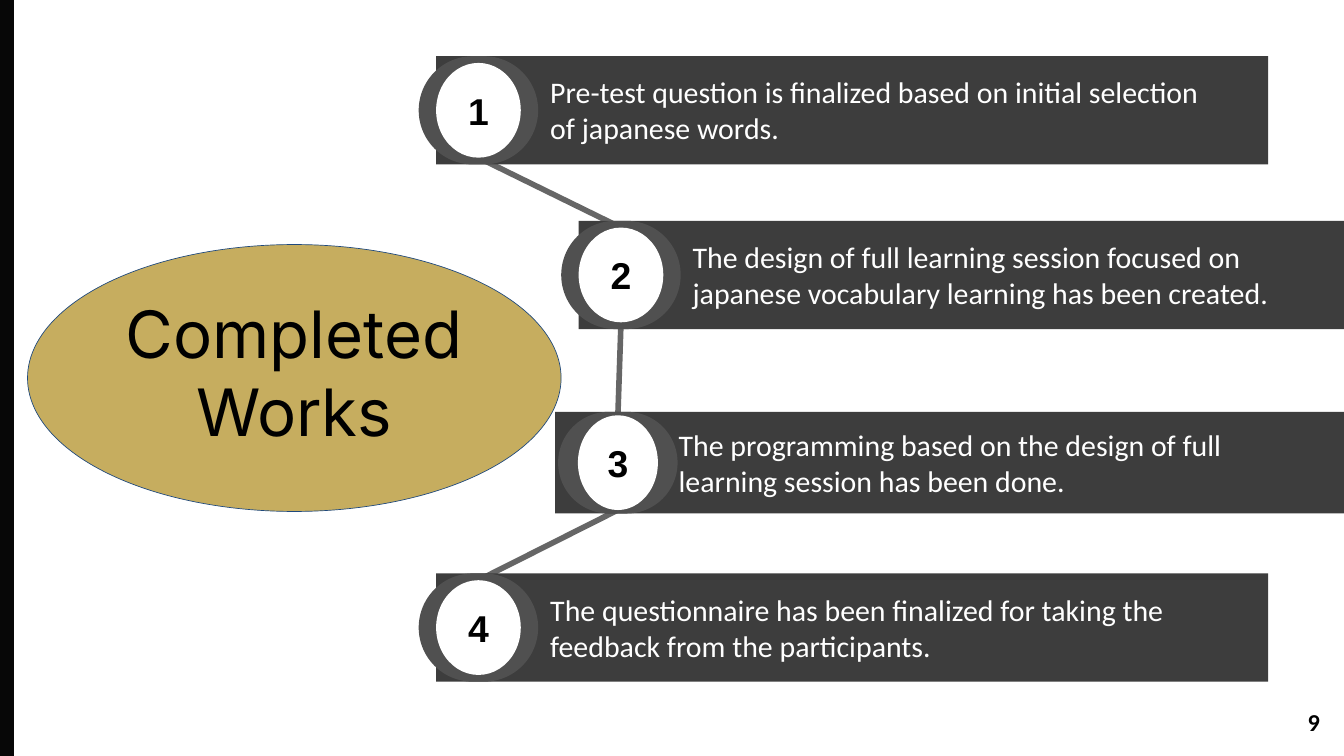
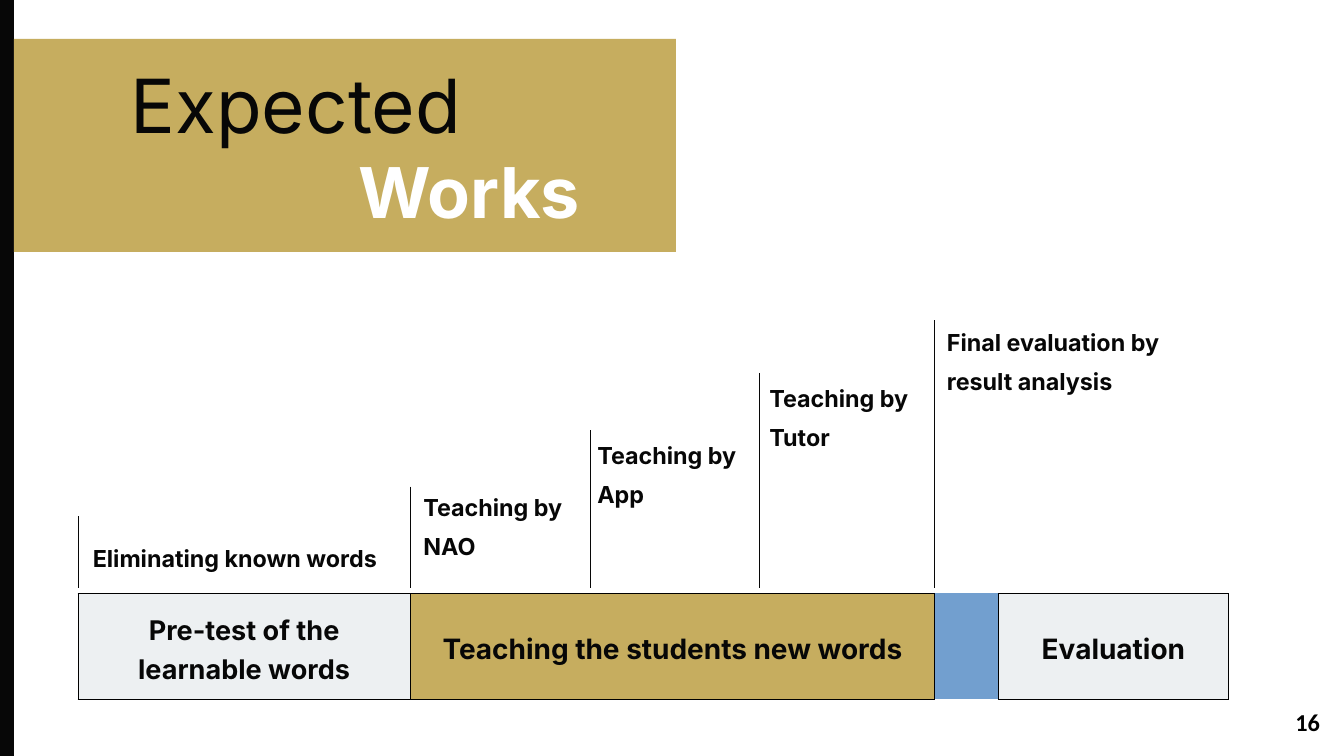
from itertools import pairwise

from lxml.etree import SubElement
from pptx import Presentation
from pptx.dml.color import RGBColor
from pptx.enum.shapes import MSO_CONNECTOR, MSO_SHAPE
from pptx.enum.text import MSO_ANCHOR, PP_ALIGN
from pptx.oxml.ns import qn
from pptx.util import Pt

BLACK = RGBColor(0x00, 0x00, 0x00)
INK = RGBColor(0x07, 0x07, 0x07)
WHITE = RGBColor(0xFF, 0xFF, 0xFF)
GOLD = RGBColor(0xC6, 0xAD, 0x5F)
BAR = RGBColor(0x3D, 0x3D, 0x3D)
PILL = RGBColor(0x50, 0x50, 0x50)
LINK = RGBColor(0x66, 0x66, 0x66)
NAVY = RGBColor(0x1F, 0x49, 0x7D)
PALE = RGBColor(0xED, 0xF0, 0xF2)
BLUE = RGBColor(0x72, 0x9F, 0xCF)


def add_item(s, kind, x, y, w, h, fill=None, text="", font="Inter", size=25,
             color=INK, bold=False, align=PP_ALIGN.LEFT,
             anchor=MSO_ANCHOR.TOP, inset=0, spacing=None):
    if kind is None:
        sp = s.shapes.add_textbox(Pt(x), Pt(y), Pt(w), Pt(h))
    else:
        sp = s.shapes.add_shape(kind, Pt(x), Pt(y), Pt(w), Pt(h))
        sp.shadow.inherit = False
        sp.fill.solid()
        sp.fill.fore_color.rgb = fill
        sp.line.fill.background()
    tf = sp.text_frame
    tf.word_wrap = True
    tf.vertical_anchor = anchor
    tf.margin_left = tf.margin_right = tf.margin_top = tf.margin_bottom = Pt(inset)
    if text:
        p = tf.paragraphs[0]
        p.text = text
        p.alignment = align
        p.line_spacing = spacing
        p.font.name, p.font.size, p.font.bold = font, Pt(size), bold
        p.font.color.rgb = color
    return sp


def add_line(s, x1, y1, x2, y2, color, width):
    line = s.shapes.add_connector(MSO_CONNECTOR.STRAIGHT, Pt(x1), Pt(y1), Pt(x2), Pt(y2))
    line.line.color.rgb = color
    line.line.width = Pt(width)
    SubElement(line._element.spPr, qn("a:effectLst"))


prs = Presentation()
prs.slide_width, prs.slide_height = Pt(1440), Pt(810)
slides = []
for number in ("9", "16"):
    s = prs.slides.add_slide(prs.slide_layouts[6])
    add_item(s, MSO_SHAPE.RECTANGLE, 0, 0, 15, 810, INK)
    add_item(s, None, 1347, 752.4, 74.4, 41, text=number, font="Calibri", size=26,
             color=BLACK, bold=True, align=PP_ALIGN.RIGHT,
             anchor=MSO_ANCHOR.MIDDLE, inset=7.2)
    slides.append(s)
completed, expected = slides

OVAL_H = 101.5
TEXT_H = 92
steps = [
    (467.3, 60.2, 891.4, 116, 448.6, 467.3, 90.7, 582.5, 720,
     "Pre-test question is finalized based on initial selection of japanese words."),
    (620, 236.6, 820, 116, 601.3, 620, 90.7, 735, 670,
     "The design of full learning session focused on japanese vocabulary learning has been created."),
    (594.7, 441.2, 845.3, 109, 598, 619.2, 85.7, 720, 685,
     "The programming based on the design of full learning session has been done."),
    (467.3, 614.4, 891.4, 116, 448.6, 467.3, 90.7, 582.5, 720,
     "The questionnaire has been finalized for taking the feedback from the participants."),
]
centers = [(step[5] + step[6] / 2, step[1] + step[3] / 2) for step in steps]
for (x1, y1), (x2, y2) in pairwise(centers):
    add_line(completed, x1, y1 + OVAL_H / 2, x2, y2 - OVAL_H / 2, LINK, 6)

for i, (step, (cx, cy)) in enumerate(zip(steps, centers), 1):
    bar_x, bar_y, bar_w, bar_h, pill_x, oval_x, oval_w, text_x, text_w, text = step
    add_item(completed, MSO_SHAPE.RECTANGLE, bar_x, bar_y, bar_w, bar_h, BAR)
    pill = add_item(completed, MSO_SHAPE.ROUNDED_RECTANGLE, pill_x, bar_y, 128, bar_h, PILL)
    pill.adjustments[0] = 0.5
    add_item(completed, MSO_SHAPE.OVAL, oval_x, cy - OVAL_H / 2, oval_w, OVAL_H, WHITE,
             str(i), "Arial", 40, BLACK, True, PP_ALIGN.CENTER, MSO_ANCHOR.MIDDLE, 14.4)
    add_item(completed, None, text_x, cy - TEXT_H / 2, text_w, TEXT_H, text=text,
             font="Calibri", size=32, color=WHITE, inset=7.2)

sp = add_item(completed, MSO_SHAPE.OVAL, 29.5, 262, 571.7, 286, GOLD, "Completed Works",
              size=70, color=BLACK, align=PP_ALIGN.CENTER, anchor=MSO_ANCHOR.BOTTOM, inset=7.2)
sp.text_frame.margin_bottom = Pt(24)
sp.line.color.rgb = NAVY
sp.line.width = Pt(0.75)

title = add_item(expected, MSO_SHAPE.RECTANGLE, 15, 41.8, 709.2, 228.2, GOLD,
                 "Expected", size=80, anchor=MSO_ANCHOR.MIDDLE)
p = title.text_frame.add_paragraph()
p.text = "Works"
p.alignment = PP_ALIGN.LEFT
p.font.name, p.font.size, p.font.bold = "Inter", Pt(75), True
p.font.color.rgb = WHITE
for p, indent in zip(title.text_frame.paragraphs, (125, 369)):
    p._p.get_or_add_pPr().set("marL", str(Pt(indent)))

phases = [
    ("Pre-test of the learnable words", 356.4, 29, PALE),
    ("Teaching the students new words", 136.8, 30, GOLD),
    ("", 424.8, 30, GOLD),
    ("Evaluation", 68.4, 30, PALE),
    ("", 246.2, 30, BLUE),
]
table = expected.shapes.add_table(1, len(phases), Pt(83.5), Pt(635.8),
                                  Pt(1232.6), Pt(96)).table
table.first_row = table.horz_banding = False
for i, (text, width, size, fill) in enumerate(phases):
    table.columns[i].width = Pt(width)
    cell = table.cell(0, i)
    cell.vertical_anchor = MSO_ANCHOR.MIDDLE
    cell.margin_left = cell.margin_right = cell.margin_top = cell.margin_bottom = Pt(15)
    tcPr = cell._tc.get_or_add_tcPr()
    for side in ("L", "R", "T", "B"):
        ln = SubElement(tcPr, qn(f"a:ln{side}"), w=str(Pt(0.75)))
        SubElement(SubElement(ln, qn("a:solidFill")), qn("a:srgbClr"), val=str(BLACK))
    cell.fill.solid()
    cell.fill.fore_color.rgb = fill
    if text:
        p = cell.text_frame.paragraphs[0]
        p.text = text
        p.alignment = PP_ALIGN.CENTER
        p.line_spacing = 1.2
        p.font.name, p.font.size, p.font.bold = "Inter", Pt(size), True
        p.font.color.rgb = INK
for first in (1, 3):
    table.cell(0, first).merge(table.cell(0, first + 1))

milestones = [
    (83.5, 553, 99.4, 571, 320, "Eliminating known words"),
    (440, 521.3, 453.6, 516.2, 178.6, "Teaching by NAO"),
    (632.2, 460.8, 640, 460.8, 165.6, "Teaching by App"),
    (813.6, 399.6, 824.4, 399.6, 165.6, "Teaching by Tutor"),
    (1001.5, 343.4, 1014.5, 339.8, 288.7, "Final evaluation by result analysis"),
]
for line_x, line_y, text_x, text_y, text_w, text in milestones:
    add_line(expected, line_x, line_y, line_x, 630, INK, 0.75)
    add_item(expected, None, text_x, text_y, text_w, 72 if text_y < 550 else 30,
             text=text, bold=True, spacing=1.4)

prs.save("out.pptx")
